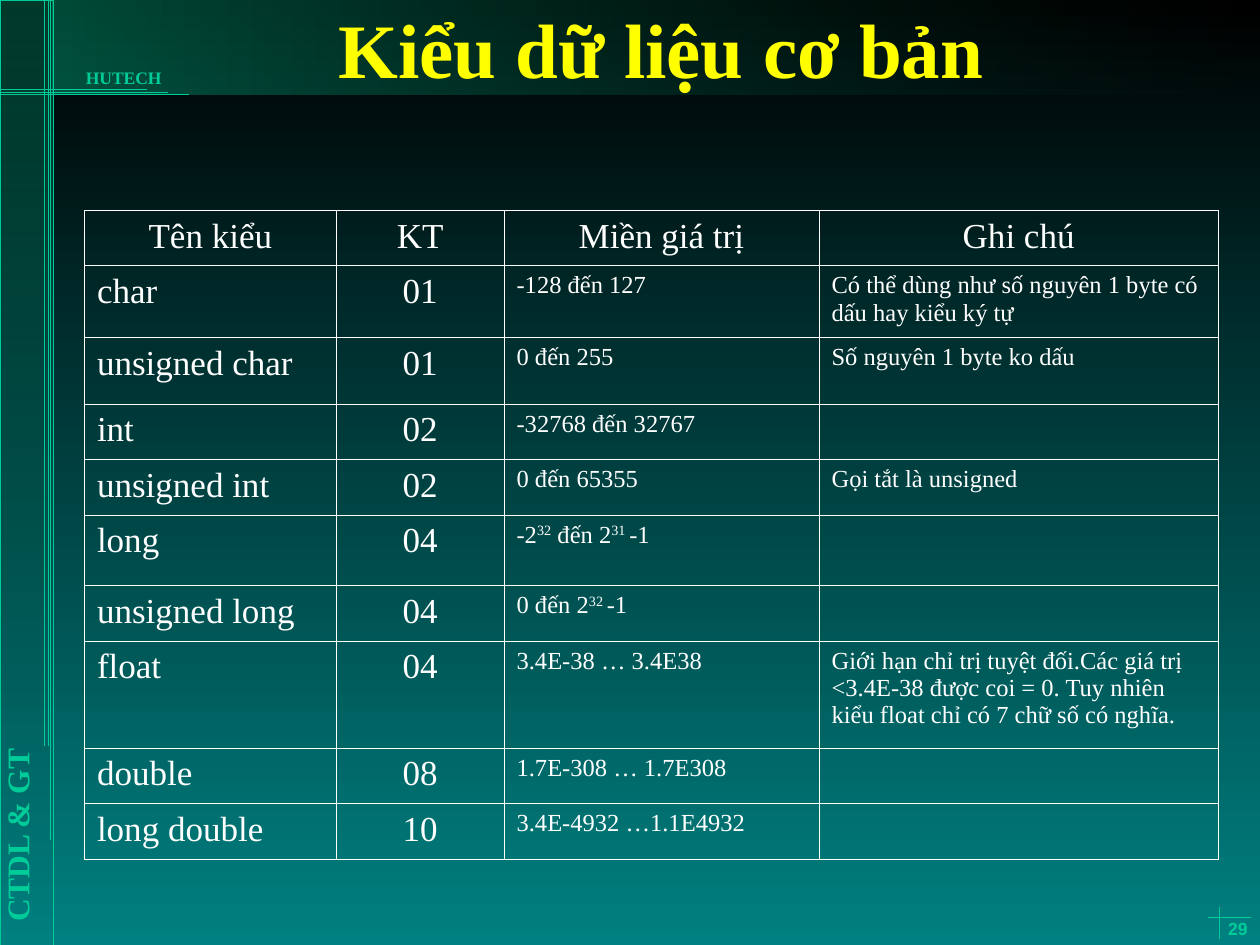
from typing import NamedTuple

from lxml import etree
from pptx import Presentation
from pptx.dml.color import RGBColor
from pptx.enum import shapes, text
from pptx.oxml import ns
from pptx.util import Inches, Pt

BLACK = RGBColor(0x00, 0x00, 0x00)
TEAL = RGBColor(0x00, 0x80, 0x80)
MINT = RGBColor(0x00, 0xCC, 0x99)
DARK_MINT = RGBColor(0x00, 0x5E, 0x47)
YELLOW = RGBColor(0xFF, 0xFF, 0x00)
WHITE = RGBColor(0xFF, 0xFF, 0xFF)
SERIF = "Times New Roman"
LEFT, CENTER, RIGHT = text.PP_ALIGN.LEFT, text.PP_ALIGN.CENTER, text.PP_ALIGN.RIGHT
TOP, MIDDLE, BOTTOM = text.MSO_ANCHOR.TOP, text.MSO_ANCHOR.MIDDLE, text.MSO_ANCHOR.BOTTOM


class Box(NamedTuple):
    left: float
    top: float
    width: float
    height: float

    def emu(self):
        return [Inches(length) for length in self]


class Stop(NamedTuple):
    color: RGBColor
    opacity: int = 100


class Panel(NamedTuple):
    box: Box
    stops: tuple[Stop, Stop]
    downward: bool
    outlined: bool = False


class Rule(NamedTuple):
    x1: float
    y1: float
    x2: float
    y2: float


class Label(NamedTuple):
    wording: str
    box: Box
    size: int
    font: str = SERIF
    align: text.PP_ALIGN = LEFT
    anchor: text.MSO_ANCHOR = TOP
    rotation: int = 0


PANELS = [
    Panel(Box(0, 0, 10, 7.5), (Stop(BLACK), Stop(TEAL)), True),
    Panel(Box(0, 0, 0.42, 7.5), (Stop(MINT, 29), Stop(DARK_MINT, 0)), True, True),
    Panel(Box(0.42, 0, 9.58, 0.75), (Stop(MINT, 37), Stop(DARK_MINT, 0)), False),
]
RULES = [
    Rule(0.35, 0, 0.35, 5.92),
    Rule(0.38, 0, 0.38, 5.92),
    Rule(0.4, 0, 0.4, 6.67),
    Rule(0, 0.71, 1.17, 0.71),
    Rule(0, 0.73, 1.33, 0.73),
    Rule(0, 0.75, 1.5, 0.75),
    Rule(9.59, 7.28, 9.93, 7.28),
    Rule(9.68, 7.2, 9.68, 7.45),
]
LABELS = [
    Label("CTDL & GT", Box(-1.95, 5.13, 4.17, 0.4), 18, rotation=270),
    Label("HUTECH", Box(0.12, 0.48, 1.26, 0.27), 10, align=RIGHT),
    Label("29", Box(9.5, 7.33, 0.5, 0.17), 10, "Arial", RIGHT, BOTTOM),
]

TABLE_BOX = Box(0.67, 1.67, 9, 5.12)
COLUMN_WIDTHS = [2, 1.33, 2.5, 3.17]
ROW_HEIGHTS = [0.44, 0.57, 0.53, 0.44, 0.44, 0.56, 0.44, 0.85, 0.44, 0.44]
# Carets enclose superscripts.
DATA_TYPES = [
    ("Tên kiểu", "KT", "Miền giá trị", "Ghi chú"),
    ("char", "01", "-128 đến 127", "Có thể dùng như số nguyên 1 byte có dấu hay kiểu ký tự"),
    ("unsigned char", "01", "0 đến 255", "Số nguyên 1 byte ko dấu"),
    ("int", "02", "-32768 đến 32767", ""),
    ("unsigned int", "02", "0 đến 65355", "Gọi tắt là unsigned"),
    ("long", "04", "-2^32^ đến 2^31 ^-1", ""),
    ("unsigned long", "04", "0 đến 2^32 ^-1", ""),
    ("float", "04", "3.4E-38 … 3.4E38",
     "Giới hạn chỉ trị tuyệt đối.Các giá trị <3.4E-38 được coi = 0. "
     "Tuy nhiên kiểu float chỉ có 7 chữ số có nghĩa."),
    ("double", "08", "1.7E-308 … 1.7E308", ""),
    ("long double", "10", "3.4E-4932 …1.1E4932", ""),
]


def style_font(font, size: int, color: RGBColor, bold: bool, name: str = SERIF) -> None:
    font.name, font.size, font.bold = name, Pt(size), bold
    font.color.rgb = color


def draw_panel(slide, panel: Panel) -> None:
    shape = slide.shapes.add_shape(shapes.MSO_SHAPE.RECTANGLE, *panel.box.emu())
    shape.shadow.inherit = False
    shape.fill.gradient()
    shape.fill.gradient_angle = 270 if panel.downward else 0
    for position, (gradient_stop, stop) in enumerate(zip(shape.fill.gradient_stops, panel.stops)):
        gradient_stop.position = position
        gradient_stop.color.rgb = stop.color
    for color, stop in zip(shape.fill._xPr.iter(ns.qn("a:srgbClr")), panel.stops):
        if stop.opacity < 100:
            etree.SubElement(color, ns.qn("a:alpha"), val=str(stop.opacity * 1000))
    if panel.outlined:
        shape.line.color.rgb = MINT
        shape.line.width = Pt(0.25)
    else:
        shape.line.fill.background()


def draw_rule(slide, rule: Rule) -> None:
    line = slide.shapes.add_connector(
        shapes.MSO_CONNECTOR.STRAIGHT, *[Inches(length) for length in rule])
    line.line.color.rgb = MINT
    line.line.width = Pt(0.25)
    etree.SubElement(line._element.spPr, ns.qn("a:effectLst"))


def draw_label(slide, label: Label) -> None:
    box = slide.shapes.add_textbox(*label.box.emu())
    box.rotation = label.rotation
    frame = box.text_frame
    frame.word_wrap = True
    frame.vertical_anchor = label.anchor
    frame.text = label.wording
    frame.paragraphs[0].alignment = label.align
    style_font(frame.paragraphs[0].runs[0].font, label.size, MINT, True, label.font)


def place_title(slide, wording: str) -> None:
    title = slide.shapes.title
    title.left, title.top, title.width, title.height = Box(1, -0.25, 8.5, 1.25).emu()
    frame = title.text_frame
    frame.text = wording
    frame.vertical_anchor = MIDDLE
    frame.paragraphs[0].alignment = CENTER
    style_font(frame.paragraphs[0].runs[0].font, 44, YELLOW, True)


def outline_cell(cell) -> None:
    properties = cell._tc.get_or_add_tcPr()
    for side in ("a:lnL", "a:lnR", "a:lnT", "a:lnB"):
        border = etree.SubElement(properties, ns.qn(side), w=str(Pt(0.45)))
        fill = etree.SubElement(border, ns.qn("a:solidFill"))
        etree.SubElement(fill, ns.qn("a:srgbClr"), val=str(WHITE))
    cell.fill.background()


def fill_cell(cell, wording: str, size: int, align: text.PP_ALIGN) -> None:
    paragraph = cell.text_frame.paragraphs[0]
    paragraph.alignment = align
    for index, part in enumerate(wording.split("^")):
        if part:
            run = paragraph.add_run()
            run.text = part
            style_font(run.font, size, WHITE, False)
            if index % 2:
                run._r.get_or_add_rPr().set("baseline", "30000")


def draw_table(slide) -> None:
    table = slide.shapes.add_table(
        len(DATA_TYPES), len(COLUMN_WIDTHS), *TABLE_BOX.emu()).table
    table.first_row = table.horz_banding = False
    for column, width in zip(table.columns, COLUMN_WIDTHS):
        column.width = Inches(width)
    for r, (row, height) in enumerate(zip(table.rows, ROW_HEIGHTS)):
        row.height = Inches(height)
        for c, (cell, wording) in enumerate(zip(row.cells, DATA_TYPES[r])):
            outline_cell(cell)
            fill_cell(cell, wording, 20 if r == 0 or c < 2 else 14,
                      CENTER if r == 0 or c == 1 else LEFT)


def main() -> None:
    deck = Presentation()
    deck.slide_width, deck.slide_height = Inches(10), Inches(7.5)
    slide = deck.slides.add_slide(deck.slide_layouts[5])
    slide.background.fill.solid()
    slide.background.fill.fore_color.rgb = BLACK
    for panel in PANELS:
        draw_panel(slide, panel)
    for rule in RULES:
        draw_rule(slide, rule)
    for label in LABELS:
        draw_label(slide, label)
    place_title(slide, "Kiểu dữ liệu cơ bản")
    slide.shapes._spTree.append(slide.shapes.title._element)  # bring in front of the panels
    draw_table(slide)
    deck.save("out.pptx")


if __name__ == "__main__":
    main()
